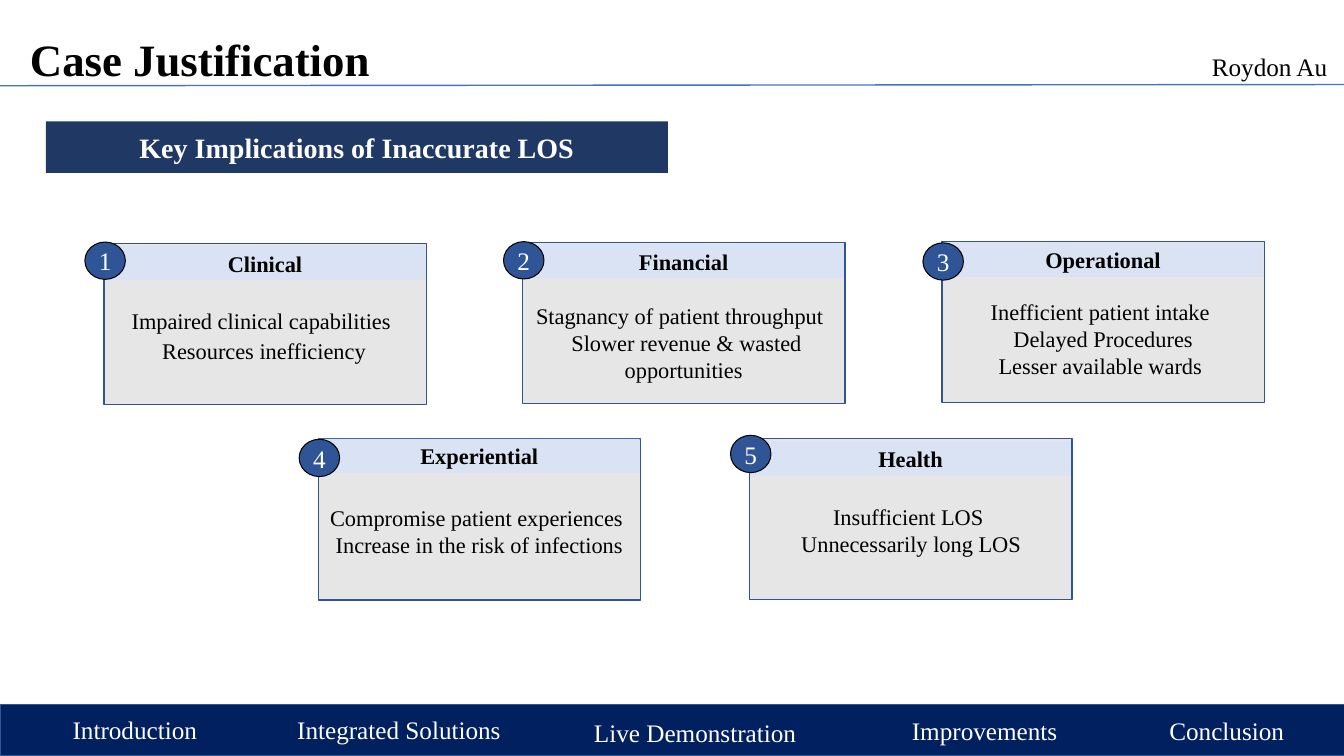
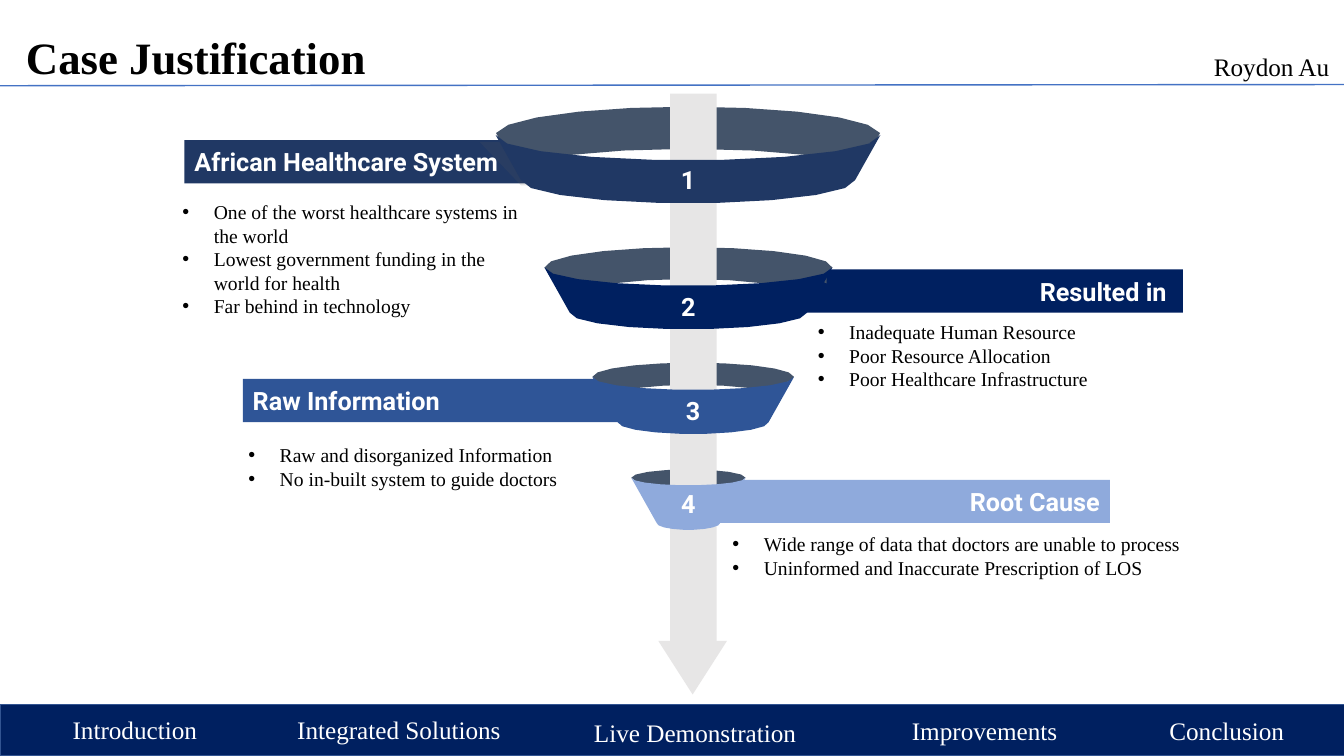
import math
from lxml import etree
from pptx import Presentation
from pptx.dml.color import RGBColor
from pptx.enum import shapes, text
from pptx.oxml.ns import qn
from pptx.util import Cm, Pt

W, H = 33.87, 19.05
SERIF, SANS = "Times New Roman", "Roboto"
WHITE, BLACK, GREY = "FFFFFF", "000000", "E7E6E6"
NAVY, MIDNIGHT, BLUE, SKY = "203864", "002060", "2F5597", "8FAADC"
EDGE, RULE, PALE, SLATE, SHADE = "325491", "4472C4", "DAE3F3", "44546A", "595959"
LEFT, CENTER, RIGHT = text.PP_ALIGN.LEFT, text.PP_ALIGN.CENTER, text.PP_ALIGN.RIGHT
SHAPE = shapes.MSO_SHAPE

NAV = [
    ("Introduction", 1.58, 17.88, 4.19, LEFT),
    ("Integrated Solutions", 7.24, 17.88, 5.79, LEFT),
    ("Live Demonstration", 14.72, 17.96, 5.74, LEFT),
    ("Improvements", 22.26, 17.91, 5.11, CENTER),
    ("Conclusion", 29.22, 17.91, 5.11, LEFT),
]

# heading, card corner, heading top, badge top, body box, gap, first alignment, lines
CARD_W, CARD_H = 8.13, 4.06
CARDS = [
    ("Clinical", (2.62, 6.13), 6.2, 6.1, (2.77, 7.62, 7.77, 1.7), 2, CENTER,
     ["Impaired clinical capabilities ", "Resources inefficiency"]),
    ("Financial", (13.17, 6.11), 6.15, 6.09, (13.26, 7.49, 8.08, 2.31), 0, LEFT,
     ["Stagnancy of patient throughput", "Slower revenue & wasted opportunities "]),
    ("Operational", (23.74, 6.09), 6.12, 6.12, (24.69, 7.39, 6.22, 2.31), 0, CENTER,
     ["Inefficient patient intake ", "Delayed Procedures", "Lesser available wards "]),
    ("Experiential", (8.02, 11.06), 11.06, 11.07, (7.62, 12.57, 8.92, 1.63), 0, CENTER,
     ["Compromise patient experiences ", "Increase in the risk of infections"]),
    ("Health", (18.89, 11.05), 11.12, 10.97, (19.05, 12.55, 7.82, 2.77), 0, CENTER,
     ["Insufficient LOS ", "Unnecessarily long LOS"]),
]

BANNERS = [
    ("African Healthcare System", (4.65, 3.53, 8.71, 1.09), NAVY, LEFT),
    ("Resulted in ", (20.23, 6.79, 9.58, 1.09), MIDNIGHT, RIGHT),
    ("Raw Information", (6.12, 9.55, 9.53, 1.09), BLUE, LEFT),
    ("Root Cause", (18.04, 12.09, 9.93, 1.09), SKY, RIGHT),
]

# cx, rim y, rx, ry, opening angle, top inset, colour
RINGS = [
    (17.34, 3.4, 4.85, 0.71, 48, 0.76, NAVY),
    (17.35, 6.74, 3.63, 0.51, 55, 0.64, MIDNIGHT),
    (17.47, 9.5, 2.54, 0.36, 53, 0.51, BLUE),
    (17.35, 12.04, 1.44, 0.21, 90, 0.25, SKY),
]
RING_DEPTH, RING_TAPER = 1.14, 0.64

FOLDS = {
    "left": [(12.09, 3.58), (13.13, 4.67), (13.34, 4.67), (12.75, 3.58)],
    "middle": [(14.55, 9.58), (15.6, 10.67), (15.8, 10.67), (15.21, 9.58)],
    "right": [(19.96, 6.78), (20.83, 7.14), (20.83, 6.78)],
}

BULLETS = [
    ((4.35, 4.92, 9.02, 3.25), [
        "One of the worst healthcare systems in the world",
        "Lowest government funding in the world for health",
        "Far behind in technology"]),
    ((20.36, 7.94, 8.26, 2.06), [
        "Inadequate Human Resource",
        "Poor Resource Allocation",
        "Poor Healthcare Infrastructure"]),
    ((6.01, 11.04, 9.14, 1.45), [
        "Raw and disorganized Information",
        "No in-built system to guide doctors"]),
    ((18.21, 13.28, 11.86, 1.45), [
        "Wide range of data that doctors are unable to process",
        "Uninformed and Inaccurate Prescription of LOS "]),
]


def rgb(value):
    return RGBColor.from_string(value)


def cm(*values):
    return [Cm(v) for v in values]


def write(sp, lines, size, color, font=SERIF, bold=False, align=LEFT):
    tf = sp.text_frame
    tf.word_wrap = True
    tf.text = "\n".join(lines)
    for p in tf.paragraphs:
        p.alignment = align
        for r in p.runs:
            r.font.name, r.font.size, r.font.bold = font, Pt(size), bold
            r.font.color.rgb = rgb(color)
    return tf


def paint(sp, fill, line=None, width=1):
    sp.shadow.inherit = False
    sp.fill.solid()
    sp.fill.fore_color.rgb = rgb(fill)
    if line:
        sp.line.color.rgb = rgb(line)
        sp.line.width = Pt(width)
    else:
        sp.line.fill.background()
    return sp


def add_shape(s, kind, box, fill, line=None, width=1):
    return paint(s.shapes.add_shape(kind, *cm(*box)), fill, line, width)


def add_label(s, box, fill, label, size, color, font=SERIF, align=CENTER):
    sp = add_shape(s, SHAPE.RECTANGLE, box, fill)
    tf = write(sp, [label], size, color, font, True, align)
    tf.vertical_anchor = text.MSO_ANCHOR.MIDDLE


def add_text(s, box, lines, size, color=BLACK, align=LEFT):
    return write(s.shapes.add_textbox(*cm(*box)), lines, size, color, align=align)


def add_outline(s, points, fill):
    points = [tuple(cm(x, y)) for x, y in points]
    fb = s.shapes.build_freeform(*points[0])
    fb.add_line_segments(points[1:], close=True)
    return paint(fb.convert_to_shape(), fill)


def arc(cx, cy, rx, ry, start, end, steps):
    angles = [math.radians(start + (end - start) * i / steps) for i in range(steps + 1)]
    return [(cx + rx * math.cos(a), cy + ry * math.sin(a)) for a in angles]


def add_frame(prs, title_box, title_bottom, author_left):
    s = prs.slides.add_slide(prs.slide_layouts[5])
    title = s.shapes.title
    title.left, title.top, title.width, title.height = cm(*title_box)
    tf = write(title, ["Case Justification"], 32, BLACK, bold=True)
    tf.auto_size = text.MSO_AUTO_SIZE.NONE
    tf.vertical_anchor = text.MSO_ANCHOR.MIDDLE
    tf.margin_bottom = Cm(title_bottom)
    tf.paragraphs[0].line_spacing = 0.9
    rule = s.shapes.add_connector(shapes.MSO_CONNECTOR.STRAIGHT, *cm(0, 2.16, 33.88, 2.13))
    rule.line.color.rgb = rgb(RULE)
    rule.line.width = Pt(1)
    etree.SubElement(rule._element.spPr, qn("a:effectLst"))
    add_text(s, (author_left, 1.17, 3.45, 1.02), ["Roydon Au"], 18).word_wrap = False
    add_shape(s, SHAPE.FLOWCHART_PROCESS, (0, 17.75, 34.01, 1.3), MIDNIGHT, EDGE)
    for label, x, y, width, align in NAV:
        add_text(s, (x, y, width, 1.02), [label], 18, WHITE, align)
    return s


def add_card(s, number, heading, corner, heading_y, badge_y, body_box, gap, first, lines):
    x, y = corner
    add_shape(s, SHAPE.RECTANGLE, (x, y, CARD_W, CARD_H), GREY, EDGE)
    add_label(s, (x + 0.02, heading_y, CARD_W - 0.05, 0.86), PALE, heading, 16, BLACK)
    body = add_text(s, body_box, lines, 16, align=CENTER)
    body.paragraphs[0].alignment = first
    body.paragraphs[0].space_after = Pt(gap)
    badge = add_shape(s, SHAPE.OVAL, (x - 0.48, badge_y, 1.02, 0.94), BLUE, BLACK, 0)
    tf = write(badge, [str(number)], 18, WHITE, align=CENTER)
    tf.margin_left = tf.margin_right = tf.margin_top = tf.margin_bottom = 0
    tf.vertical_anchor = text.MSO_ANCHOR.MIDDLE


def add_ring_back(s, cx, y, rx, ry, opening):
    outer = arc(cx, y, rx, ry, 180 - opening, 360 + opening, 16)
    half = rx * math.cos(math.radians(opening))
    edge = y + ry * math.sin(math.radians(opening))
    inner = [(cx + half * t, edge - 0.25 * ry * (1 - t * t)) for t in (0.5, 0, -0.5)]
    add_outline(s, outer + (inner if opening < 90 else []), SLATE)


def add_ring_front(s, number, cx, y, rx, ry, inset, color):
    rim = arc(cx, y, rx, 0.9 * ry, 0, 180, 9)
    floor = arc(cx, y + RING_DEPTH, rx - RING_TAPER, 0.82 * ry, 180, 0, 9)
    sp = add_outline(s, rim + floor, color)
    tf = write(sp, [str(number)], 18, WHITE, SANS, True, CENTER)
    tf.margin_top, tf.margin_bottom = cm(inset, 0.25)
    tf.vertical_anchor = text.MSO_ANCHOR.MIDDLE


def add_bullets(s, box, lines):
    for p in add_text(s, box, lines, 14).paragraphs:
        pPr = p._p.get_or_add_pPr()
        pPr.set("marL", str(Cm(0.79)))
        pPr.set("indent", str(-Cm(0.79)))
        etree.SubElement(pPr, qn("a:buFont"), typeface="Arial")
        etree.SubElement(pPr, qn("a:buChar"), char="•")


def implications(prs):
    s = add_frame(prs, (0.5, 0.69, 29.26, 1.75), 0.13, 30.29)
    add_label(s, (1.16, 3.06, 15.67, 1.3), NAVY, "Key Implications of Inaccurate LOS", 20, WHITE)
    for number, card in enumerate(CARDS, 1):
        add_card(s, number, *card)


def funnel(prs):
    s = add_frame(prs, (0.4, 0.36, 29.21, 3.68), 1.52, 30.34)
    for label, box, color, align in BANNERS:
        add_label(s, box, color, label, 18, WHITE, SANS, align)
    add_outline(s, FOLDS["middle"], BLUE)
    for cx, y, rx, ry, opening, inset, color in RINGS:
        add_ring_back(s, cx, y, rx, ry, opening)
    add_outline(s, FOLDS["right"], SLATE)
    head = add_shape(s, SHAPE.ISOSCELES_TRIANGLE, (16.59, 16.15, 1.73, 1.35), GREY)
    head.rotation = 180
    add_shape(s, SHAPE.RECTANGLE, (16.89, 2.36, 1.17, 13.82), GREY)
    shade = add_outline(s, FOLDS["left"], SHADE)
    tint = shade._element.spPr.find(qn("a:solidFill"))[0]
    etree.SubElement(tint, qn("a:alpha"), val="17000")
    for number, (cx, y, rx, ry, opening, inset, color) in enumerate(RINGS, 1):
        add_ring_front(s, number, cx, y, rx, ry, inset, color)
    for box, lines in BULLETS:
        add_bullets(s, box, lines)


def main():
    prs = Presentation()
    prs.slide_width, prs.slide_height = cm(W, H)
    implications(prs)
    funnel(prs)
    prs.save("out.pptx")


if __name__ == "__main__":
    main()
